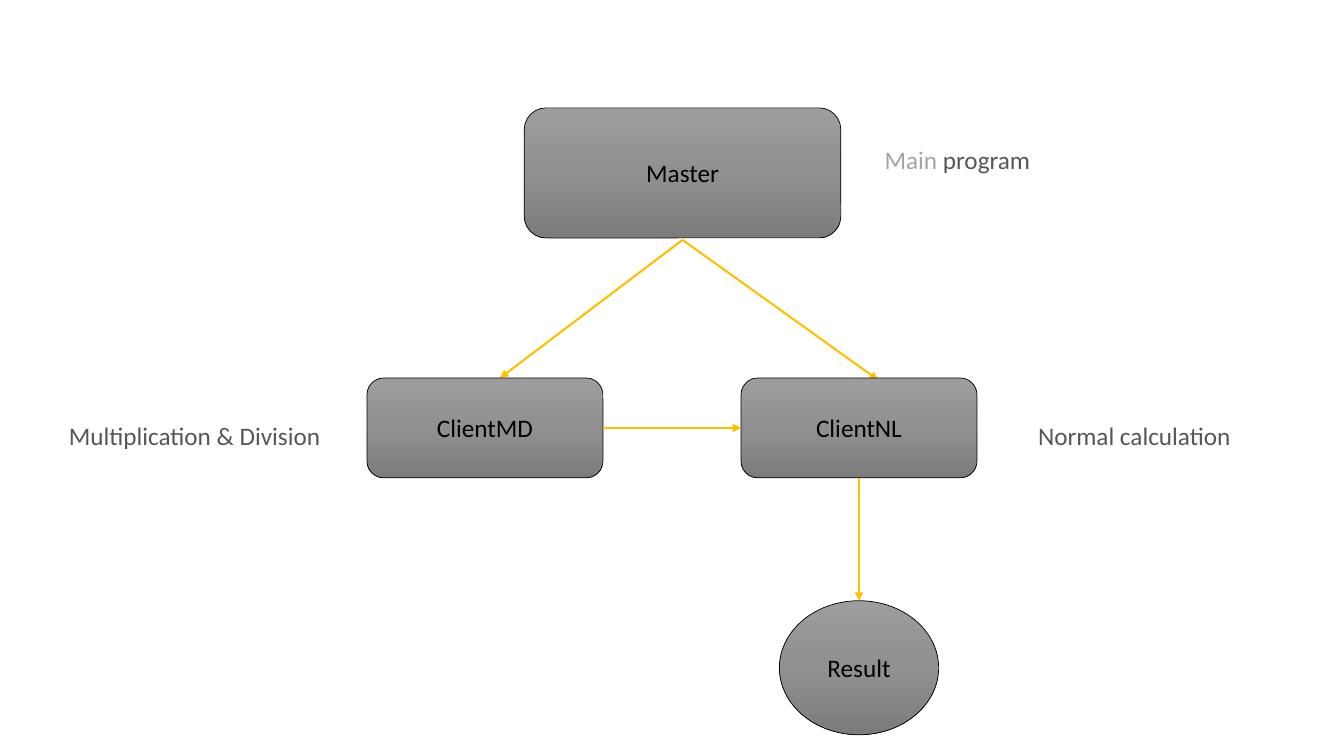
import copy
from dataclasses import dataclass

import pptx
import pptx.dml.color
import pptx.enum.shapes
import pptx.enum.text
import pptx.oxml
import pptx.oxml.ns
import pptx.util
from pptx.util import Inches

SHAPES = pptx.enum.shapes.MSO_SHAPE


@dataclass(frozen=True)
class Theme:
    font: str = "Calibri"
    text_size: int = 18
    outline_width: float = 0.5
    arrow_width: float = 1.5
    ink: str = "000000"
    accent: str = "A5A5A5"
    arrow: str = "FFC000"
    node_gradient: tuple = ((0, "9D9D9D"), (0.5, "909090"), (1, "7C7C7C"))
    label_gradient: tuple = ((0.21, "53575C"), (0.88, "C5C7CA"))


THEME = Theme()


def rgb(color):
    return pptx.dml.color.RGBColor.from_string(color)


def paint(fill, owner, color):
    """Fill with one colour, or top to bottom with (position, colour) stops."""
    if isinstance(color, str):
        fill.solid()
        fill.fore_color.rgb = rgb(color)
        return
    fill.gradient()
    fill.gradient_angle = 270
    stop_list = owner.find(".//" + pptx.oxml.ns.qn("a:gsLst"))
    while len(stop_list) < len(color):
        stop_list.append(copy.deepcopy(stop_list[-1]))
    for stop, (position, stop_color) in zip(fill.gradient_stops, color):
        stop.position = position
        stop.color.rgb = rgb(stop_color)


def write_text(frame, *parts, size=THEME.text_size, font=THEME.font):
    """Write centred text from (text, colour) parts."""
    frame.word_wrap = True
    frame.vertical_anchor = pptx.enum.text.MSO_ANCHOR.MIDDLE
    paragraph = frame.paragraphs[0]
    paragraph.alignment = pptx.enum.text.PP_ALIGN.CENTER
    for text, color in parts:
        run = paragraph.add_run()
        run.text = text
        run.font.size = pptx.util.Pt(size)
        run.font.name = font
        paint(run.font.fill, run._r, color)


def add_node(slide, name, box, kind=SHAPES.ROUNDED_RECTANGLE):
    node = slide.shapes.add_shape(kind, *map(Inches, box))
    node.shadow.inherit = False
    paint(node.fill, node._element, THEME.node_gradient)
    node.line.color.rgb = rgb(THEME.ink)
    node.line.width = pptx.util.Pt(THEME.outline_width)
    write_text(node.text_frame, (name, THEME.ink))


def add_label(slide, box, *parts):
    label = slide.shapes.add_textbox(*map(Inches, box))
    write_text(label.text_frame, *parts)


def add_arrow(slide, start, end):
    arrow = slide.shapes.add_connector(
        pptx.enum.shapes.MSO_CONNECTOR.STRAIGHT, *map(Inches, start + end))
    arrow.line.color.rgb = rgb(THEME.arrow)
    arrow.line.width = pptx.util.Pt(THEME.arrow_width)
    head = pptx.oxml.parse_xml(
        f'<a:tailEnd {pptx.oxml.ns.nsdecls("a")} type="triangle"/>')
    arrow.line._get_or_add_ln().append(head)
    arrow._element.spPr.append(
        pptx.oxml.parse_xml(f'<a:effectLst {pptx.oxml.ns.nsdecls("a")}/>'))


def main():
    deck = pptx.Presentation()
    deck.slide_width, deck.slide_height = Inches(13.33), Inches(7.5)
    slide = deck.slides.add_slide(deck.slide_layouts[6])

    # Master and its arrows to both clients
    add_node(slide, "Master", (5.2, 1.07, 3.14, 1.29))
    add_label(slide, (8.52, 1.38, 1.95, 0.41),
              ("Main ", THEME.accent), ("program", THEME.label_gradient))
    master_foot = (6.77, 2.38)
    for client_top in ((4.96, 3.75), (8.71, 3.77)):
        add_arrow(slide, master_foot, client_top)

    # Clients, level with each other
    client_y, client_w, client_h = 3.75, 2.34, 0.99
    md_x, nl_x = 3.64, 7.35
    for name, x in (("ClientMD", md_x), ("ClientNL", nl_x)):
        add_node(slide, name, (x, client_y, client_w, client_h))
    for role, x, width in (("Multiplication & Division", 0.42, 3.02),
                           ("Normal calculation", 10.08, client_w)):
        add_label(slide, (x, 4.2, width, 0.24), (role, THEME.label_gradient))
    client_middle = client_y + client_h / 2
    add_arrow(slide, (md_x + client_w, client_middle), (nl_x, client_middle))

    # Result, centred below ClientNL
    result_y, result_w, result_h = 5.96, 1.58, 1.33
    nl_center = nl_x + client_w / 2
    add_node(slide, "Result",
             (nl_center - result_w / 2, result_y, result_w, result_h), SHAPES.OVAL)
    add_arrow(slide, (nl_center, client_y + client_h), (nl_center, result_y))

    deck.save("out.pptx")


main()
